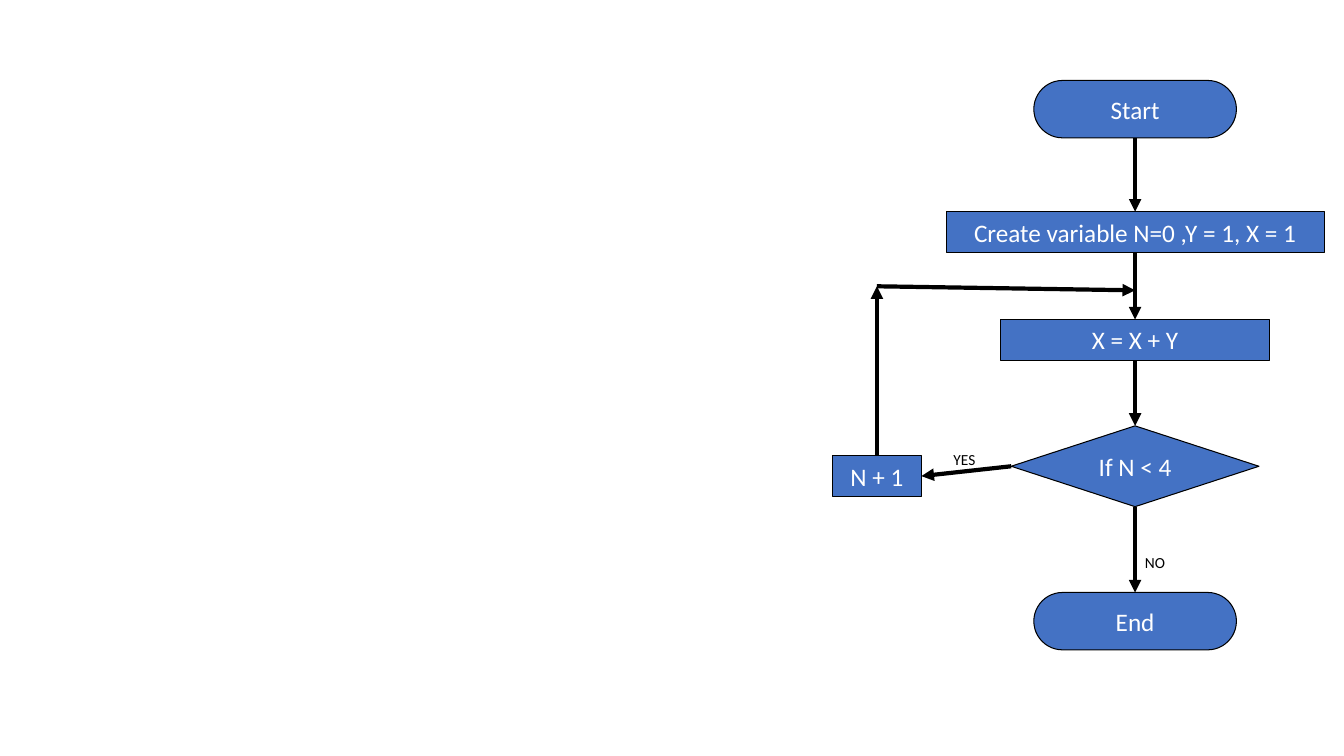
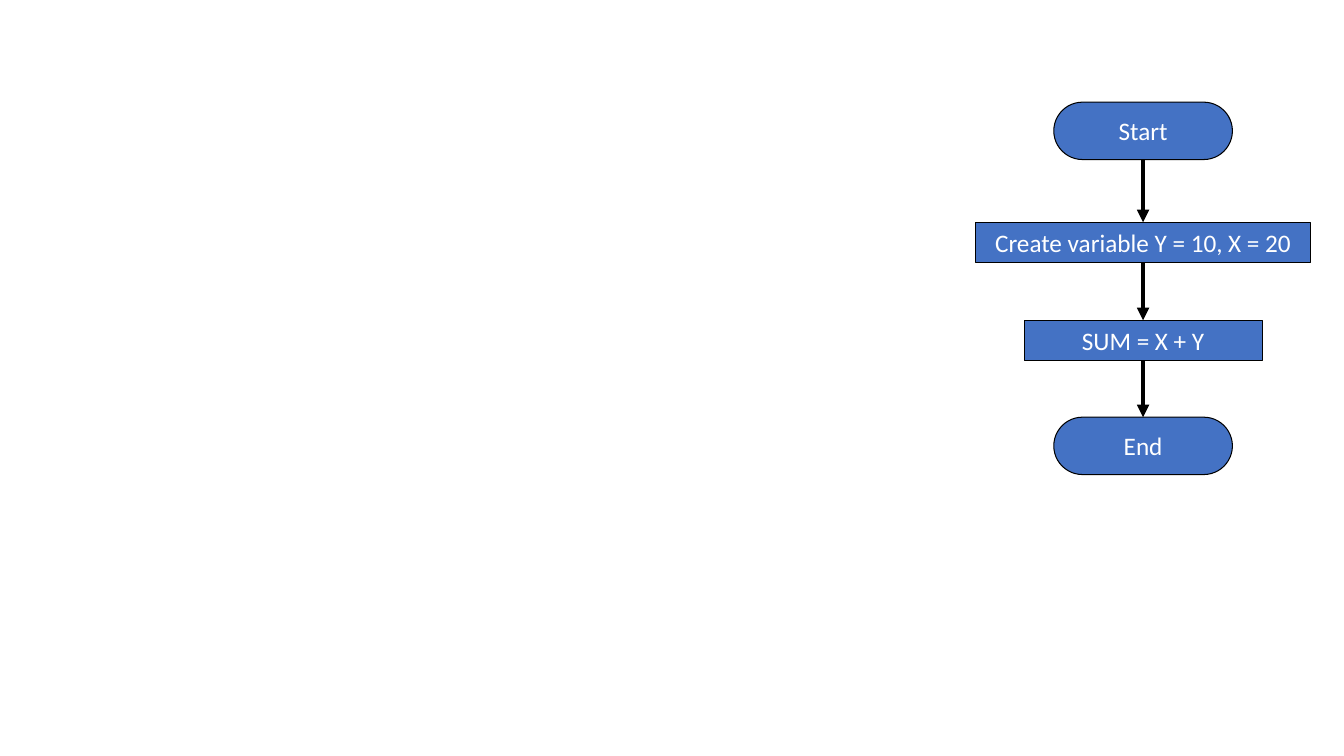
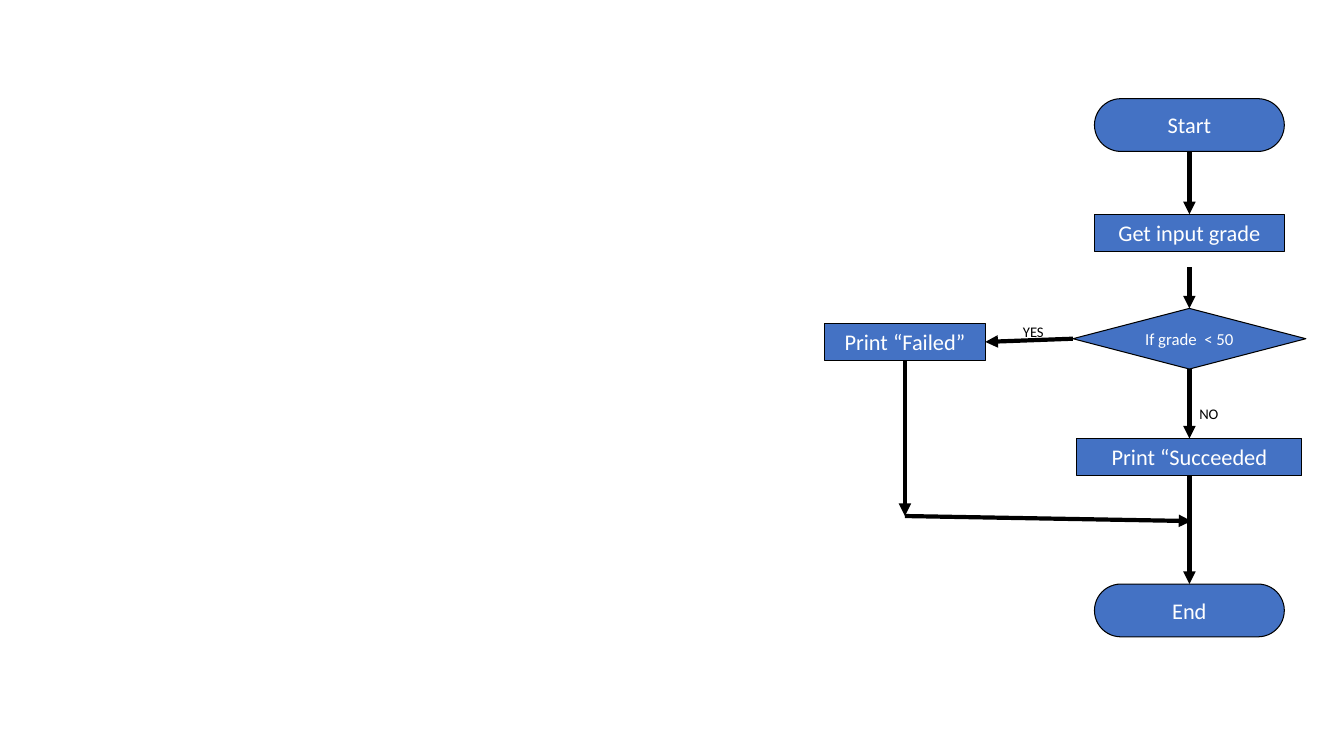
from dataclasses import dataclass

from pptx import Presentation
from pptx.dml.color import RGBColor
from pptx.enum import shapes, text
from pptx.oxml import xmlchemy
from pptx.util import Pt


@dataclass(frozen=True)
class Theme:
    font: str = "Calibri"
    fill: RGBColor = RGBColor(0x44, 0x72, 0xC4)
    light: RGBColor = RGBColor(0xFF, 0xFF, 0xFF)
    dark: RGBColor = RGBColor(0x00, 0x00, 0x00)
    large: float = 18
    medium: float = 16
    small: float = 12
    label: float = 11
    small_label: float = 10.5
    outline: float = 0.75
    arrow: float = 3


theme = Theme()
TOP, LEFT, BOTTOM, RIGHT = range(4)
TERMINAL = shapes.MSO_SHAPE.ROUNDED_RECTANGLE
PROCESS = shapes.MSO_SHAPE.RECTANGLE
DECISION = shapes.MSO_SHAPE.DIAMOND


def write(box, content, size, color, align=text.PP_ALIGN.LEFT, anchor=text.MSO_ANCHOR.TOP):
    frame = box.text_frame
    frame.word_wrap = True
    frame.vertical_anchor = anchor
    para = frame.paragraphs[0]
    para.alignment = align
    span = para.add_run()
    span.text = content
    span.font.name = theme.font
    span.font.size = Pt(size)
    span.font.color.rgb = color


def add_arrow(page, nodes, start, end):
    points = [(0, 0) if isinstance(spot[0], str) else spot for spot in (start, end)]
    line = page.shapes.add_connector(
        shapes.MSO_CONNECTOR.STRAIGHT, *(Pt(value) for point in points for value in point)
    )
    for spot, join in ((start, line.begin_connect), (end, line.end_connect)):
        if isinstance(spot[0], str):
            join(nodes[spot[0]], spot[1])
    line.line.color.rgb = theme.dark
    line.line.width = Pt(theme.arrow)
    outline = line.line._get_or_add_ln()
    outline.append(xmlchemy.OxmlElement("a:tailEnd"))
    outline[-1].set("type", "triangle")
    line._element.spPr.append(xmlchemy.OxmlElement("a:effectLst"))


loop_x, sum_x, grade_x = 810.8, 816.5, 849.6
next_x, failed_x = 626.4, 646.4

flowcharts = [
    {
        "nodes": [
            (TERMINAL, "Start", loop_x, 57.5, 144.7, 41, theme.large),
            (PROCESS, "Create variable N=0 ,Y = 1, X = 1", loop_x, 151.2, 270, 29, theme.large),
            (PROCESS, "X = X + Y", loop_x, 228.2, 192, 29, theme.large),
            (DECISION, "If N < 4", loop_x, 304.2, 177, 57.7, theme.large),
            (TERMINAL, "End", loop_x, 423.2, 144.7, 41, theme.large),
            (PROCESS, "N + 1", next_x, 325.6, 63.5, 29, theme.large),
        ],
        "arrows": [
            (("Start", BOTTOM), ("Create variable N=0 ,Y = 1, X = 1", TOP)),
            (("Create variable N=0 ,Y = 1, X = 1", BOTTOM), ("X = X + Y", TOP)),
            (("X = X + Y", BOTTOM), ("If N < 4", TOP)),
            (("If N < 4", BOTTOM), ("End", TOP)),
            (("If N < 4", LEFT), ("N + 1", RIGHT)),
            (("N + 1", TOP), (next_x, 204.5)),
            ((next_x, 204.5), (loop_x, 207.4)),
        ],
        "labels": [("NO", loop_x, 391.7), ("YES", 673.9, 318.2)],
        "label_size": theme.label,
    },
    {
        "nodes": [
            (TERMINAL, "Start", sum_x, 73, 127.6, 41, theme.large),
            (PROCESS, "Create variable Y = 10, X = 20", sum_x, 158.7, 239, 29, theme.large),
            (PROCESS, "SUM = X + Y", sum_x, 228.7, 170, 29, theme.large),
            (TERMINAL, "End", sum_x, 298, 127.6, 41, theme.large),
        ],
        "arrows": [
            (("Start", BOTTOM), ("Create variable Y = 10, X = 20", TOP)),
            (("Create variable Y = 10, X = 20", BOTTOM), ("SUM = X + Y", TOP)),
            (("SUM = X + Y", BOTTOM), ("End", TOP)),
        ],
        "labels": [],
        "label_size": theme.label,
    },
    {
        "nodes": [
            (TERMINAL, "Start", grade_x, 70.5, 135.6, 37.7, theme.medium),
            (PROCESS, "Get input grade", grade_x, 153.1, 135.6, 26.5, theme.medium),
            (DECISION, "If grade  < 50", grade_x, 220.3, 166.4, 43.3, theme.small),
            (PROCESS, "Print “Succeeded", grade_x, 313.2, 160.8, 26.5, theme.medium),
            (TERMINAL, "End", grade_x, 417.2, 135.6, 37.7, theme.medium),
            (PROCESS, "Print “Failed”", failed_x, 231, 114.8, 26.5, theme.medium),
        ],
        "arrows": [
            (("Start", BOTTOM), ("Get input grade", TOP)),
            ((grade_x, 190.8), ("If grade  < 50", TOP)),
            (("If grade  < 50", BOTTOM), ("Print “Succeeded", TOP)),
            (("If grade  < 50", LEFT), ("Print “Failed”", RIGHT)),
            (("Print “Failed”", BOTTOM), (failed_x, 368.6)),
            (("Print “Succeeded", BOTTOM), ("End", TOP)),
            ((failed_x, 368.6), (851, 372.2)),
        ],
        "labels": [("NO", grade_x, 285.8), ("YES", 723.6, 226.8)],
        "label_size": theme.small_label,
    },
]

deck = Presentation()
deck.slide_width, deck.slide_height = Pt(960), Pt(540)

for chart in flowcharts:
    page = deck.slides.add_slide(deck.slide_layouts[6])
    nodes = {}
    for kind, content, center, top, width, height, size in chart["nodes"]:
        box = page.shapes.add_shape(
            kind, Pt(center - width / 2), Pt(top), Pt(width), Pt(height)
        )
        if kind == TERMINAL:
            box.adjustments[0] = 0.5
        box.shadow.inherit = False
        box.fill.solid()
        box.fill.fore_color.rgb = theme.fill
        box.line.color.rgb = theme.dark
        box.line.width = Pt(theme.outline)
        write(box, content, size, theme.light,
              align=text.PP_ALIGN.CENTER, anchor=text.MSO_ANCHOR.MIDDLE)
        nodes[content] = box
    for start, end in chart["arrows"]:
        add_arrow(page, nodes, start, end)
    for content, left, top in chart["labels"]:
        box = page.shapes.add_textbox(Pt(left), Pt(top), Pt(36), Pt(20.6))
        write(box, content, chart["label_size"], theme.dark)

deck.save("out.pptx")
